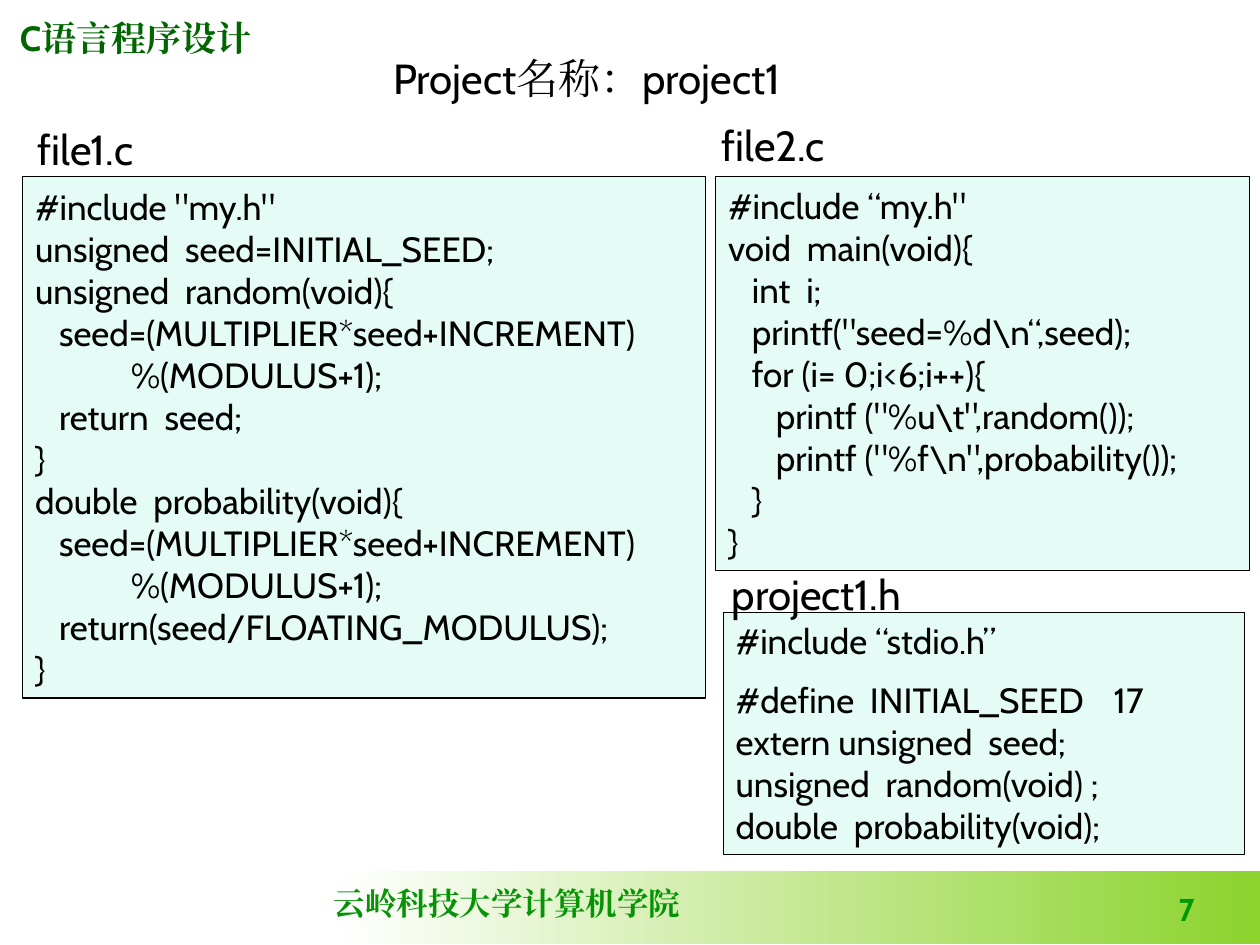
from pptx import Presentation
from pptx.dml.color import RGBColor
from pptx.enum.shapes import MSO_SHAPE
from pptx.enum.text import MSO_ANCHOR, MSO_AUTO_SIZE, PP_ALIGN
from pptx.oxml.ns import qn
from pptx.util import Inches, Pt
from lxml.etree import SubElement

BLACK = RGBColor(0x00, 0x00, 0x00)
WHITE = RGBColor(0xFF, 0xFF, 0xFF)
LIME = RGBColor(0x8C, 0xD3, 0x2D)
MINT = RGBColor(0x00, 0xE4, 0xA8)
DARK = RGBColor(0x00, 0x66, 0x00)
LEAF = RGBColor(0x06, 0x94, 0x06)
GREEN = RGBColor(0x00, 0x99, 0x00)

COLS, ROWS = 100, 75
UNIT = Inches(0.1)
STEP = Inches(0.19)
STOP = Inches(3.26)

FILE1 = [
    (0, '#include "my.h"'),
    (0, "unsigned  seed=INITIAL_SEED;"),
    (0, "unsigned  random(void){"),
    (1, "seed=(MULTIPLIER*seed+INCREMENT)"),
    (4, "%(MODULUS+1);"),
    (1, "return  seed;"),
    (0, "}"),
    (0, "double  probability(void){"),
    (1, "seed=(MULTIPLIER*seed+INCREMENT)"),
    (4, "%(MODULUS+1);"),
    (1, "return(seed/FLOATING_MODULUS);"),
    (0, "}"),
]
FILE2 = [
    (0, '#include “my.h"'),
    (0, "void  main(void){"),
    (1, "int  i;"),
    (1, 'printf("seed=%d\\n“,seed);'),
    (1, "for (i= 0;i<6;i++){"),
    (2, 'printf ("%u\\t",random());'),
    (2, 'printf ("%f\\n",probability());'),
    (1, "}"),
    (0, "}"),
]
HEAD = [
    (0, "#include “stdio.h”"),
    (0, "#define  INITIAL_SEED\t17"),
    (0, "extern unsigned  seed;"),
    (0, "unsigned  random(void) ;"),
    (0, "double  probability(void);"),
]


def span(box):
    return [int(n * UNIT) for n in box]


def say(shape, lines, size=20, color=BLACK, bold=False, face="Cabin",
        align=PP_ALIGN.LEFT, anchor=MSO_ANCHOR.MIDDLE, wrap=True, gaps={}):
    frame = shape.text_frame
    frame.word_wrap = wrap
    frame.auto_size = MSO_AUTO_SIZE.NONE
    frame.vertical_anchor = anchor
    for i, (depth, text) in enumerate(lines):
        para = frame.paragraphs[0] if i == 0 else frame.add_paragraph()
        para.alignment = align
        para.space_before = Pt(gaps.get(i, 0))
        props = para._p.get_or_add_pPr()
        props.set("marL", str(int(depth * STEP)))
        props.set("indent", "0")
        if "\t" in text:
            tabs = SubElement(props, qn("a:tabLst"))
            SubElement(tabs, qn("a:tab"), pos=str(int(STOP)), algn="l")
        run = para.add_run()
        run.text = text
        font = run.font
        font.size, font.bold, font.name = Pt(size), bold, face
        font.color.rgb = color
        SubElement(run._r.get_or_add_rPr(), qn("a:ea"),
                   typeface="Times New Roman")


def note(slide, box, text, **style):
    say(slide.shapes.add_textbox(*span(box)), [(0, text)], **style)


def rect(slide, box):
    shape = slide.shapes.add_shape(MSO_SHAPE.RECTANGLE, *span(box))
    shape.shadow.inherit = False
    return shape


def panel(slide, box, name, shift, lines, gaps={}):
    x, y, w, h = box
    dx, dy = shift
    card = rect(slide, box)
    card.fill.solid()
    card.fill.fore_color.rgb = MINT
    tint = card.fill._xPr.find(qn("a:solidFill"))[0]
    SubElement(tint, qn("a:alpha"), val="10000")
    card.line.color.rgb = BLACK
    card.line.width = Pt(0.75)
    say(card, lines, gaps=gaps)
    note(slide, (x + dx, y + dy, 18, 5), name, size=24, wrap=False)


def header(slide, box):
    x, y, w, h = box
    note(slide, (x + 0.6, y + 0.8, 20.5, 4.3), "C语言程序设计", color=DARK,
         bold=True, anchor=MSO_ANCHOR.TOP)
    title = slide.shapes.title
    title.left, title.top, title.width, title.height = span(
        (x + 30.2, y + 3.6, 35.6, 5.1))
    say(title, [(0, "Project名称：project1")], size=24, wrap=False)


def footer(slide, box):
    x, y, w, h = box
    band = rect(slide, (x + 26.7, y, w - 26.7, h))
    band.fill.gradient()
    band.fill.gradient_angle = 0
    for stop, color in zip(band.fill.gradient_stops, (WHITE, LIME)):
        stop.color.rgb = color
    band.line.fill.background()
    note(slide, (x + 25.5, y + 0.6, 29.5, 4), "云岭科技大学计算机学院", size=18,
         color=LEAF, bold=True, face="Times New Roman",
         anchor=MSO_ANCHOR.TOP, wrap=False)
    note(slide, (x + 75, y + 0.4, 20.8, 4.6), "7", size=18, color=GREEN,
         bold=True, align=PP_ALIGN.RIGHT, anchor=MSO_ANCHOR.BOTTOM)


def main():
    deck = Presentation()
    deck.slide_width, deck.slide_height = COLS * UNIT, ROWS * UNIT
    slide = deck.slides.add_slide(deck.slide_layouts[5])
    footer(slide, (0, 69.1, COLS, 5.8))
    header(slide, (0, 0, COLS, 9))
    panel(slide, (1.8, 14, 54.2, 41.4), "file1.c", (0.2, -4.7), FILE1)
    panel(slide, (56.8, 14, 42.4, 31.3), "file2.c", (-0.5, -5), FILE2)
    panel(slide, (57.4, 48.6, 41.4, 19.2), "project1.h", (-0.3, -4), HEAD,
          gaps={1: 9.6})
    deck.save("out.pptx")


if __name__ == "__main__":
    main()
